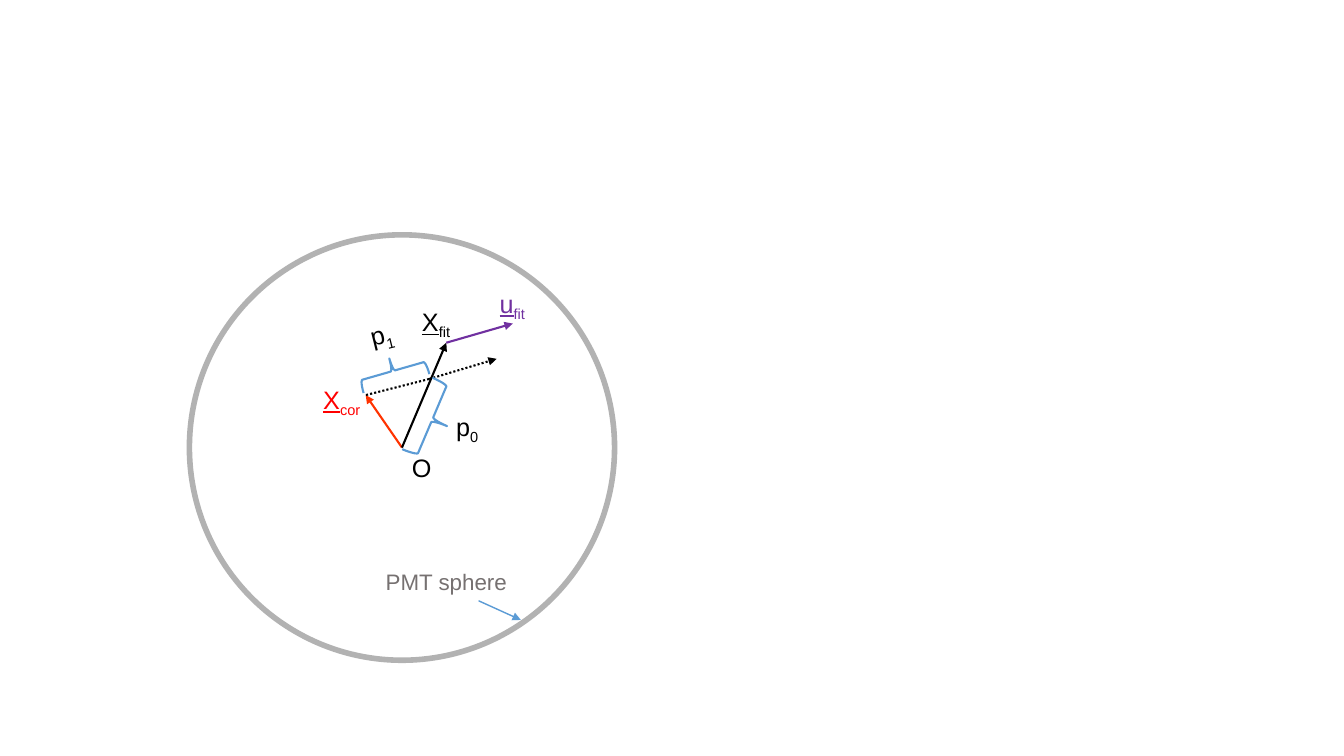
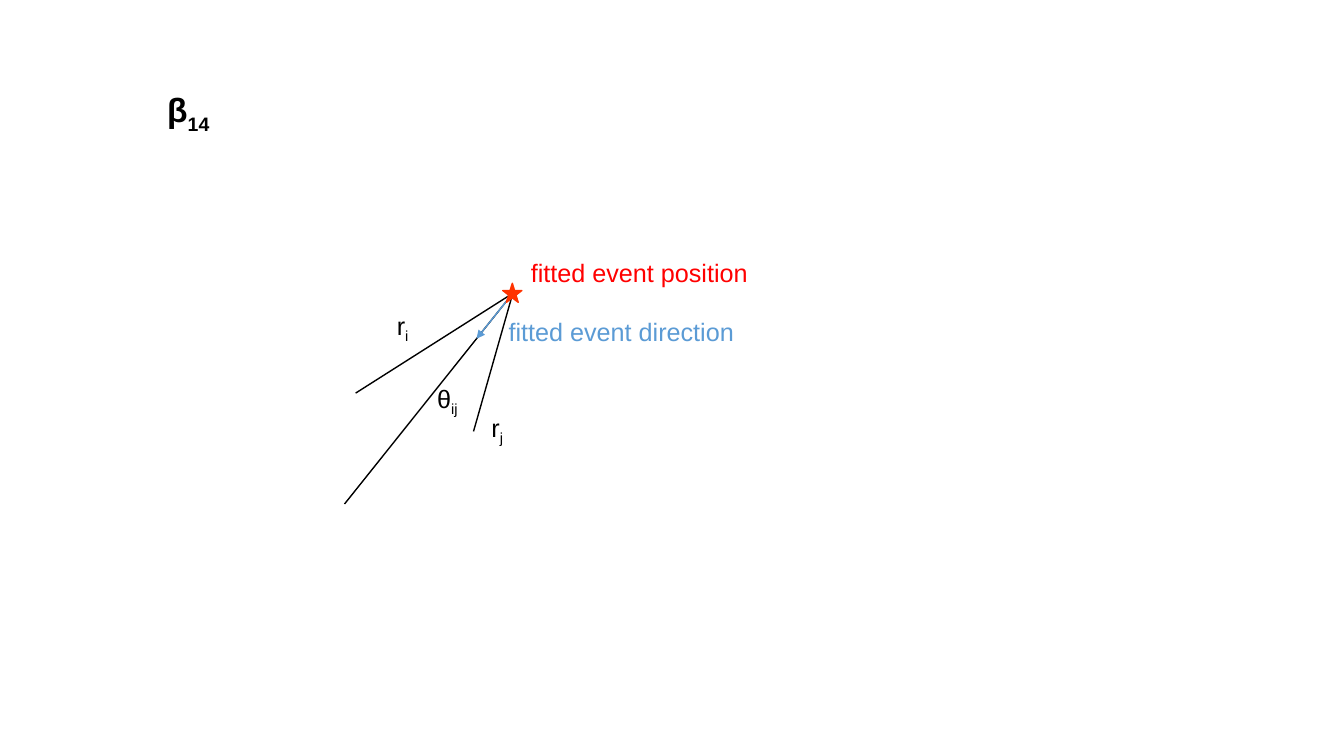
from pptx import Presentation
from pptx.dml.color import RGBColor
from pptx.enum.dml import MSO_LINE
from pptx.enum.shapes import MSO_CONNECTOR, MSO_SHAPE
from pptx.enum.text import MSO_ANCHOR, PP_ALIGN
from pptx.oxml.ns import qn
from pptx.util import Inches, Pt
from lxml import etree

STRAIGHT = MSO_CONNECTOR.STRAIGHT
ELLIPSE, BRACE, STAR = MSO_SHAPE.OVAL, MSO_SHAPE.RIGHT_BRACE, MSO_SHAPE.STAR_5_POINT
DOTTED = MSO_LINE.ROUND_DOT
MIDDLE, LEFT = MSO_ANCHOR.MIDDLE, PP_ALIGN.LEFT

FONT = "Arial"
BLACK = RGBColor(0x00, 0x00, 0x00)
SPHERE_GREY = RGBColor(0xB2, 0xB2, 0xB2)
TEXT_GREY = RGBColor(0x76, 0x71, 0x71)
BLUE = RGBColor(0x5B, 0x9B, 0xD5)
RED = RGBColor(0xFF, 0x00, 0x00)
ORANGE = RGBColor(0xFF, 0x33, 0x00)
PURPLE = RGBColor(0x70, 0x30, 0xA0)

deck = Presentation()
deck.slide_width, deck.slide_height = Inches(13.34), Inches(7.5)
COLUMN = deck.slide_width / 13.34
ROW = deck.slide_height / 7.5


def write(frame, text, size=18, color=BLACK, bold=False, underline=False, wrap=True):
    frame.word_wrap = wrap
    paragraph = frame.paragraphs[0]
    paragraph.alignment = LEFT
    symbol, _, subscript = text.partition("_")
    for part in filter(None, (symbol, subscript)):
        run = paragraph.add_run()
        run.text = part
        run.font.name, run.font.size, run.font.bold = FONT, Pt(size), bold
        run.font.color.rgb = color
        if part is subscript:
            run._r.get_or_add_rPr().set("baseline", "-25000")
        else:
            run.font.underline = underline
    return paragraph


def draw_line(slide, start, end, color=BLACK, weight=1.5, arrow=True, dash=None):
    ends = [round(v) for x, y in (start, end) for v in (x * COLUMN, y * ROW)]
    connector = slide.shapes.add_connector(STRAIGHT, *ends)
    connector.line.color.rgb = color
    connector.line.width = Pt(weight)
    if dash:
        connector.line.dash_style = dash
    properties = connector._element.spPr
    if arrow:
        etree.SubElement(properties.find(qn("a:ln")), qn("a:tailEnd"), type="triangle")
    etree.SubElement(properties, qn("a:effectLst"))


vectors = deck.slides.add_slide(deck.slide_layouts[6])
angles = deck.slides.add_slide(deck.slide_layouts[5])

title = angles.shapes.title
title.left, title.top = round(1.56 * COLUMN), round(0.37 * ROW)
title.width, title.height = round(11.5 * COLUMN), round(1.45 * ROW)
title.text_frame.vertical_anchor = MIDDLE
write(title.text_frame, "β_14", size=24, bold=True).line_spacing = 0.9

center = (3.99, 4.44)
radius = 2.11
fit = (4.43, 3.4)
corrected = (3.63, 3.92)
crossing = (4.26, 3.76)
event = (5.09, 2.91)

for start, end, style in [
    ((4.75, 5.96), (5.17, 6.15), dict(color=BLUE, weight=1)),
    (center, corrected, dict(color=ORANGE)),
    (center, fit, {}),
    (fit, (5.09, 3.21), dict(color=PURPLE)),
    (crossing, (4.93, 3.56), dict(dash=DOTTED)),
    (crossing, corrected, dict(dash=DOTTED, arrow=False)),
]:
    draw_line(vectors, start, end, **style)

for ray_end in [(4.7, 4.28), (3.42, 5), (3.53, 3.9)]:
    draw_line(angles, event, ray_end, weight=1, arrow=False)
draw_line(angles, event, (4.73, 3.36), color=BLUE, weight=1)

sphere_corner = (center[0] - radius, center[1] - radius)
for slide, kind, (x, y), (width, height), rotation, fill, color, weight in [
    (vectors, ELLIPSE, sphere_corner, (2 * radius, 2 * radius), 0, None, SPHERE_GREY, 4),
    (vectors, BRACE, (4.13, 3.78), (0.32, 0.77), 23, None, BLUE, 1.5),
    (vectors, BRACE, (3.77, 3.34), (0.26, 0.68), 254, None, BLUE, 1.5),
    (angles, STAR, (4.99, 2.81), (0.19, 0.19), 0, ORANGE, ORANGE, 1),
]:
    outline = slide.shapes.add_shape(kind, round(x * COLUMN), round(y * ROW),
                                     round(width * COLUMN), round(height * ROW))
    outline.shadow.inherit = False
    outline.rotation = rotation
    if fill is None:
        outline.fill.background()
    else:
        outline.fill.solid()
        outline.fill.fore_color.rgb = fill
    outline.line.color.rgb = color
    outline.line.width = Pt(weight)

for slide, text, (x, y), (width, height), rotation, style in [
    (vectors, "PMT sphere", (3.73, 5.59), (1.4, 0.37), 0,
     dict(size=16, color=TEXT_GREY, wrap=False)),
    (vectors, "O", (3.99, 4.44), (1.75, 0.4), 0, {}),
    (vectors, "X_fit", (4.09, 2.99), (0.5, 0.44), 0, dict(underline=True)),
    (vectors, "X_cor", (3.11, 3.76), (1.75, 0.44), 0, dict(color=RED, underline=True)),
    (vectors, "p_0", (4.43, 4.03), (1.75, 0.44), 0, {}),
    (vectors, "p_1", (3.58, 3.11), (0.44, 0.44), 346, {}),
    (vectors, "u_fit", (4.86, 2.81), (1.75, 0.44), 0, dict(color=PURPLE, underline=True)),
    (angles, "fitted event position", (5.17, 2.5), (2.38, 0.4), 0, dict(color=RED)),
    (angles, "θ_ij", (4.24, 3.75), (2.38, 0.44), 0, {}),
    (angles, "fitted event direction", (4.95, 3.09), (2.44, 0.4), 0,
     dict(color=BLUE, wrap=False)),
    (angles, "r_i", (3.84, 3.03), (0.32, 0.44), 0, {}),
    (angles, "r_j", (4.78, 4.04), (0.4, 0.44), 0, {}),
]:
    label = slide.shapes.add_textbox(round(x * COLUMN), round(y * ROW),
                                     round(width * COLUMN), round(height * ROW))
    label.rotation = rotation
    write(label.text_frame, text, **style)

deck.save("out.pptx")
